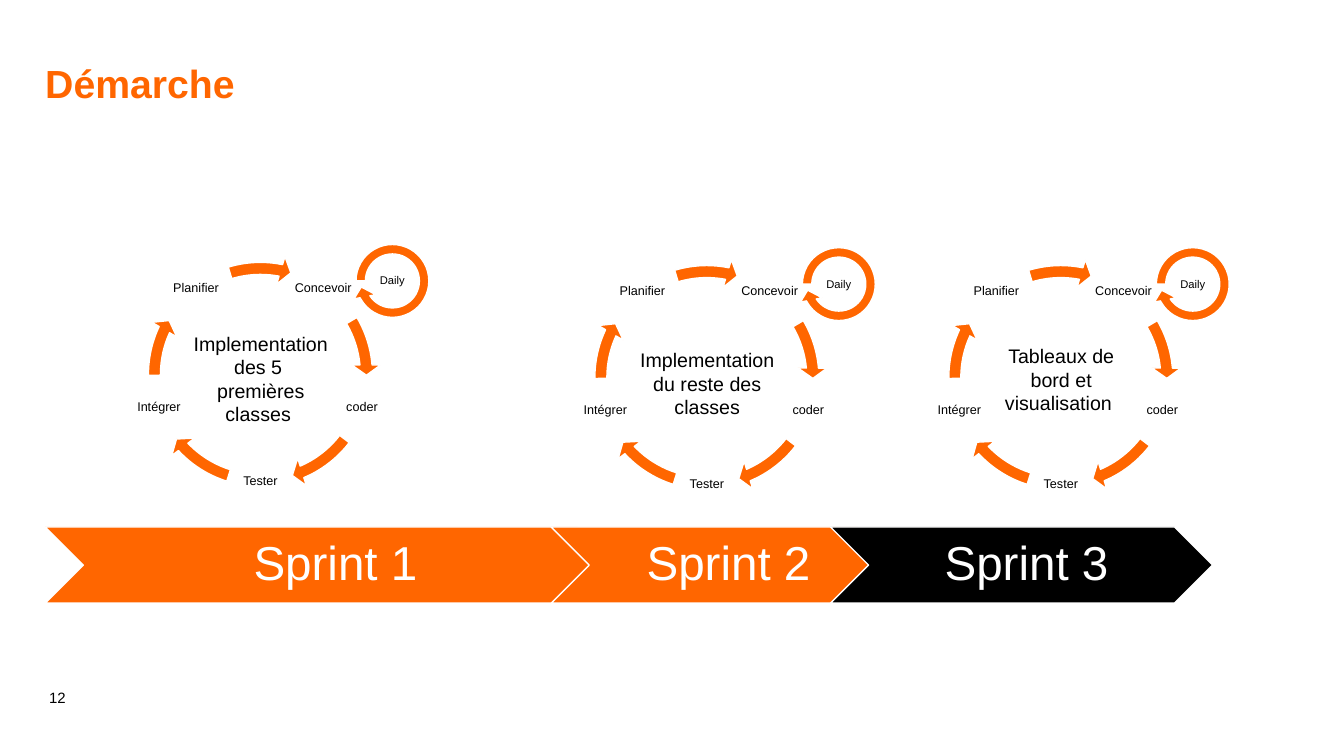
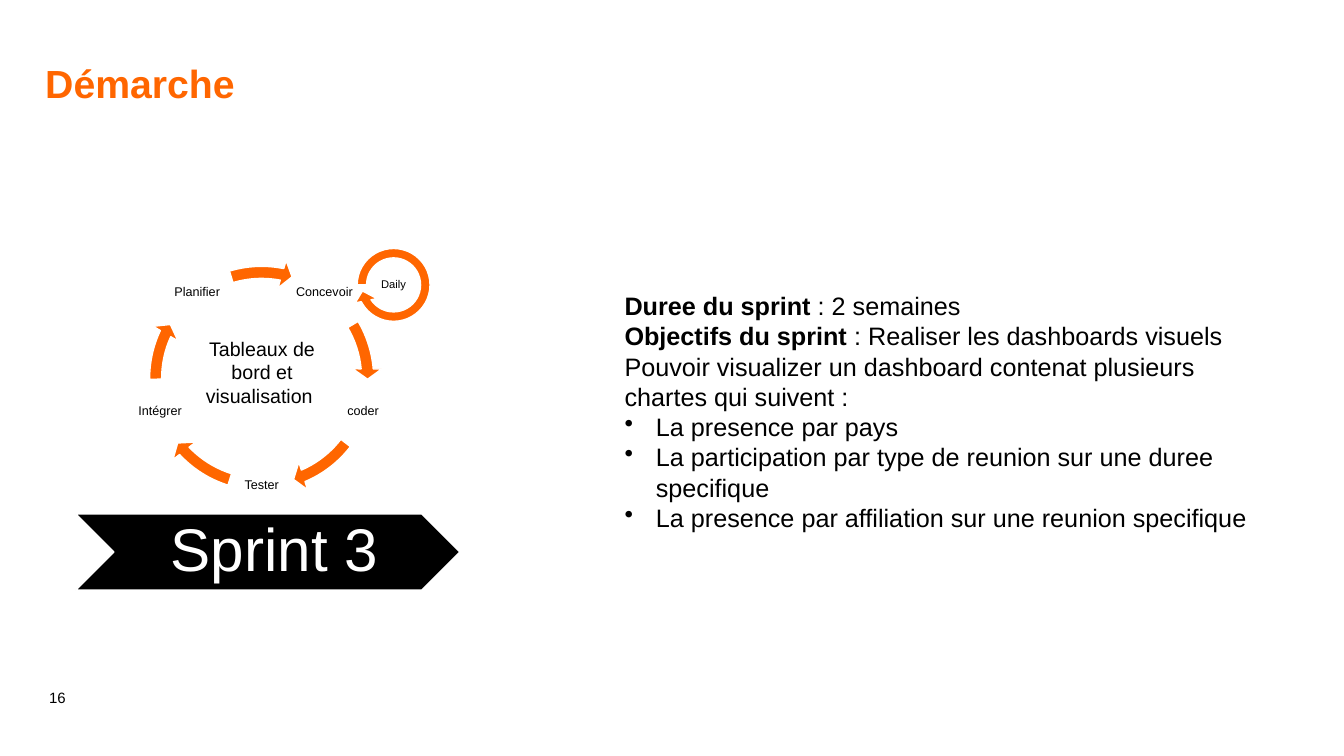
from math import cos, radians, sin

from lxml.etree import SubElement
from pptx import Presentation
from pptx.dml.color import RGBColor
from pptx.enum.shapes import MSO_SHAPE
from pptx.enum.text import MSO_ANCHOR, PP_ALIGN
from pptx.oxml.ns import qn
from pptx.util import Cm, Pt

ORANGE, BLACK, WHITE = "FF6600", "000000", "FFFFFF"
STEPS = ["Concevoir", "coder", "Tester", "Intégrer", "Planifier "]
ARCS = [(212.93, 197.67), (40.14, 22.54), (82.1, 64.5),
        (122.97, 107.71), (168.65, 151.99)]
RING, LABEL, RADIUS = 6.07, 1.63, 2.69
THIN = (0.03, 0.03, 0.03, 0.03)
FLAT = (0, 0, 0, 0)
WIDE = (0.25, 0.13, 0.25, 0.13)


def color(code):
    return RGBColor.from_string(code)


class Deck:
    font = "Arial"

    def __init__(self):
        self.file = Presentation()
        self.file.slide_width = Cm(33.87)
        self.file.slide_height = Cm(19.05)

    def page(self, title, number):
        self.slide = self.file.slides.add_slide(self.file.slide_layouts[5])
        head = self.slide.shapes.title
        head.left, head.top, head.width, head.height = map(
            Cm, (1.14, 1.63, 31.37, 1.07))
        self.fill(head.text_frame, [title], 28, ORANGE, FLAT,
                  align=PP_ALIGN.LEFT, line=0.9, bold=True)
        self.text((1.24, 16.56, 1.02, 1.24), [number], 10.7, FLAT,
                  anchor=MSO_ANCHOR.BOTTOM, align=PP_ALIGN.LEFT, line=0.85)

    def fill(self, frame, lines, size, ink, pad, anchor=MSO_ANCHOR.TOP,
             align=PP_ALIGN.CENTER, line=1.0, bold=False):
        frame.word_wrap = True
        frame.vertical_anchor = anchor
        (frame.margin_left, frame.margin_top,
         frame.margin_right, frame.margin_bottom) = map(Cm, pad)
        for i, words in enumerate(lines):
            para = frame.paragraphs[0] if i == 0 else frame.add_paragraph()
            para.text = words
            para.alignment = align
            para.line_spacing = line
            para.font.name = self.font
            para.font.size = Pt(size)
            para.font.bold = bold
            para.font.color.rgb = color(ink)

    def text(self, box, lines, size, pad, **style):
        shape = self.slide.shapes.add_textbox(*map(Cm, box))
        self.fill(shape.text_frame, lines, size, BLACK, pad, **style)
        return shape.text_frame

    def shape(self, kind, box, paint, adjust=()):
        shape = self.slide.shapes.add_shape(kind, *map(Cm, box))
        shape.shadow.inherit = False
        shape.fill.solid()
        shape.fill.fore_color.rgb = color(paint)
        shape.line.color.rgb = color(WHITE)
        shape.line.width = Pt(1)
        for i, value in enumerate(adjust):
            shape.adjustments[i] = value
        return shape

    def label(self, box, words, size):
        self.text(box, [words], size, THIN, anchor=MSO_ANCHOR.MIDDLE, line=0.9)

    def arrow(self, box, *adjust):
        self.shape(MSO_SHAPE.CIRCULAR_ARROW, box, ORANGE, adjust)

    def cycle(self, left, top, drop, lines):
        for i, (step, (end, start)) in enumerate(zip(STEPS, ARCS)):
            turn = radians(72 * i - 54)
            x = left + (RING - LABEL) / 2 + RADIUS * cos(turn)
            y = top + (RING - LABEL) / 2 + RADIUS * sin(turn)
            self.label((x, y, LABEL, LABEL), step, 9)
            self.arrow((left, top, RING, RING), 0.05, 3.36, end, start, 0.06)
        self.arrow((left + 5.28, top - 0.4, 2.16, 2.16),
                   0.11, 11.42, 90, 108, 0.13)
        self.label((left + 5.99, top + 0.51, 0.74, 0.36), "Daily", 8)
        self.text((left + 1.09, top + drop, 3.91, 2.06), lines, 14, WIDE)

    def sprint(self, left, top, width, words, paint, size, pad):
        shape = self.shape(MSO_SHAPE.CHEVRON, (left, top, width, 1.92), paint)
        self.fill(shape.text_frame, [words], size, WHITE, pad,
                  anchor=MSO_ANCHOR.MIDDLE, line=0.9)

    def notes(self, box, facts, points):
        frame = self.text(box, [""] * len(facts) + points, 18, WIDE,
                          align=PP_ALIGN.LEFT)
        for para, (lead, rest) in zip(frame.paragraphs, facts):
            if lead:
                run = para.add_run()
                run.text = lead
                run.font.bold = True
            para.add_run().text = rest
        for para in frame.paragraphs[len(facts):]:
            prop = para._p.get_or_add_pPr()
            prop.set("marL", str(Cm(0.79)))
            prop.set("indent", str(-Cm(0.79)))
            mark = SubElement(prop, qn("a:buChar"))
            mark.set("char", "•")
            prop.find(qn("a:defRPr")).addprevious(mark)


deck = Deck()
boards = ["Tableaux de bord et visualisation "]

deck.page("Démarche", "12")
deck.cycle(3.53, 6.4, 1.83, ["Implementation des 5 ", "premières classes "])
deck.cycle(14.78, 6.48, 2.16, ["Implementation du reste des classes"])
deck.cycle(23.7, 6.48, 2.06, boards)
for left, width, words, paint in [(1.14, 14.38, "Sprint 1", ORANGE),
                                  (13.89, 8.69, "Sprint 2", ORANGE),
                                  (20.93, 9.63, "Sprint 3", BLACK)]:
    deck.sprint(left, 13.28, width, words, paint, 34, (0.38, 0.13, 0.13, 0.13))

deck.page("Démarche", "16")
deck.cycle(3.56, 6.5, 1.85, boards)
deck.sprint(1.91, 12.95, 9.68, "Sprint 3", BLACK, 43, (0.48, 0.15, 0.15, 0.15))
deck.notes(
    (15.49, 7.19, 16.59, 7.19),
    [("Duree du sprint", " : 2 semaines"),
     ("Objectifs du sprint ", ": Realiser les dashboards visuels"),
     ("", "Pouvoir visualizer un dashboard contenat plusieurs chartes "
          "qui suivent :")],
    ["La presence par pays",
     "La participation par type de reunion sur une duree specifique ",
     "La presence par affiliation sur une reunion specifique "])

deck.file.save("out.pptx")
